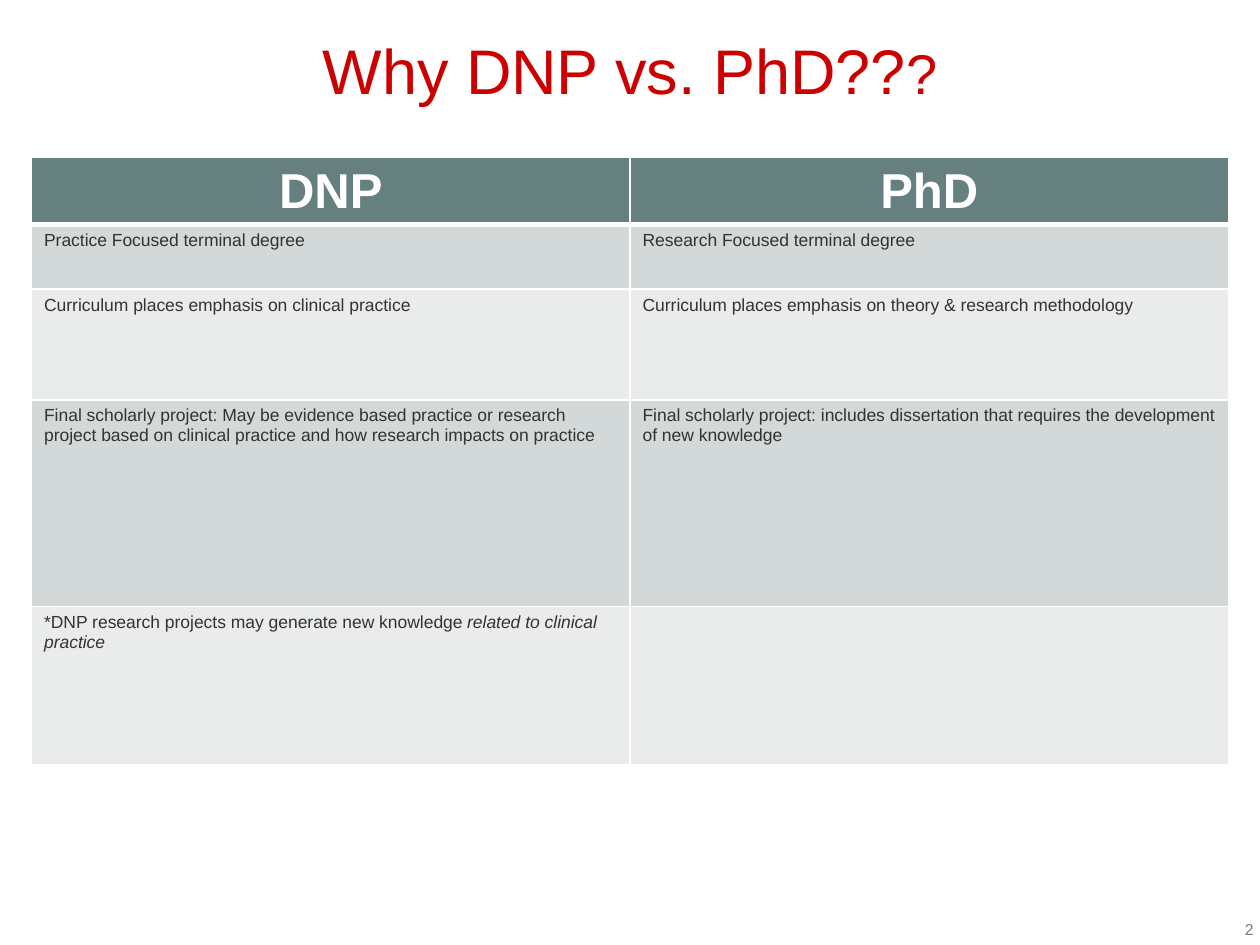
from pptx import Presentation
from pptx.dml.color import RGBColor
from pptx.enum import text
from pptx.oxml import ns
from pptx.util import Inches, Pt
from lxml import etree

RED = RGBColor(0xCC, 0x00, 0x00)
TEAL = RGBColor(0x66, 0x7F, 0x7F)
DARK = RGBColor(0x33, 0x33, 0x33)
WHITE = RGBColor(0xFF, 0xFF, 0xFF)
BANDS = [RGBColor(0xD3, 0xD8, 0xD8), RGBColor(0xEA, 0xEC, 0xEC)]

ROW_HEIGHTS = [0.51, 0.51, 0.88, 1.64, 1.26]
HEADERS = ["DNP", "PhD"]
ROWS = [
    ["Practice Focused terminal degree", "Research Focused terminal degree"],
    ["Curriculum places emphasis on clinical practice",
     "Curriculum places emphasis on theory & research methodology"],
    ["Final scholarly project: May be evidence based practice or research project "
     "based on clinical practice and how research impacts on practice",
     "Final scholarly project: includes dissertation that requires the development "
     "of new knowledge"],
    ["*DNP research projects may generate new knowledge ", ""],
]
ITALIC_ENDING = "related to clinical practice"


def add_run(p, words, size=10, color=DARK, bold=False, italic=False):
    """Append a formatted run to a paragraph."""
    r = p.add_run()
    r.text = words
    f = r.font
    f.name, f.size, f.bold, f.italic = "Arial", Pt(size), bold, italic
    f.color.rgb = color


def set_frame(tf, bottom_inset):
    """Anchor a text frame to the bottom and set its insets."""
    tf.word_wrap = True
    tf.auto_size = text.MSO_AUTO_SIZE.NONE
    tf.vertical_anchor = text.MSO_ANCHOR.BOTTOM
    tf.margin_left = tf.margin_top = tf.margin_right = Inches(0.05)
    tf.margin_bottom = Inches(bottom_inset)


def style_cell(cell, fill, top=1, bottom=1):
    """Give a cell white borders and a solid fill."""
    tc_pr = cell._tc.get_or_add_tcPr()
    for side, width in (("L", 1), ("R", 1), ("T", top), ("B", bottom)):
        ln = etree.SubElement(tc_pr, ns.qn(f"a:ln{side}"), w=str(Pt(width)))
        solid = etree.SubElement(ln, ns.qn("a:solidFill"))
        etree.SubElement(solid, ns.qn("a:srgbClr"), val=str(WHITE))
    cell.fill.solid()
    cell.fill.fore_color.rgb = fill


def add_title(s, left, top, width, height):
    """Place and format the slide title."""
    sp = s.shapes.title
    sp.left, sp.top, sp.width, sp.height = map(Inches, (left, top, width, height))
    set_frame(sp.text_frame, 0)
    p = sp.text_frame.paragraphs[0]
    p.alignment = text.PP_ALIGN.CENTER
    p.line_spacing = 0.85
    add_run(p, "Why DNP vs. PhD??", size=36, color=RED)
    add_run(p, "?", size=32, color=RED)


def add_comparison(s, left, top, width):
    """Place the two-column comparison table."""
    box = map(Inches, (left, top, width, sum(ROW_HEIGHTS)))
    table = s.shapes.add_table(len(ROW_HEIGHTS), len(HEADERS), *box).table
    for row, height in zip(table.rows, ROW_HEIGHTS):
        row.height = Inches(height)
    for col, header in enumerate(HEADERS):
        cell = table.cell(0, col)
        style_cell(cell, TEAL, bottom=3)
        p = cell.text_frame.paragraphs[0]
        p.alignment = text.PP_ALIGN.CENTER
        add_run(p, header, size=28, color=WHITE, bold=True)
    for i, row in enumerate(ROWS):
        for col, words in enumerate(row):
            cell = table.cell(i + 1, col)
            style_cell(cell, BANDS[i % 2], top=1 if i else 3)
            if words:
                add_run(cell.text_frame.paragraphs[0], words)
    last = table.cell(len(ROWS), 0).text_frame.paragraphs[0]
    add_run(last, ITALIC_ENDING, italic=True)


def add_page_number(s, left, top, width, height):
    """Place the page number in the corner."""
    tf = s.shapes.add_textbox(*map(Inches, (left, top, width, height))).text_frame
    set_frame(tf, 0.05)
    p = tf.paragraphs[0]
    p.alignment = text.PP_ALIGN.RIGHT
    add_run(p, "2", size=9, color=TEAL)


def main():
    """Build and save the slide."""
    prs = Presentation()
    prs.slide_width, prs.slide_height = Inches(10), Inches(7.5)
    s = prs.slides.add_slide(prs.slide_layouts[5])
    add_title(s, 0.25, 0.15, 9.5, 0.7)
    add_comparison(s, 0.25, 1.25, 9.5)
    add_page_number(s, 9.75, 7.17, 0.25, 0.33)
    prs.save("out.pptx")


if __name__ == "__main__":
    main()
